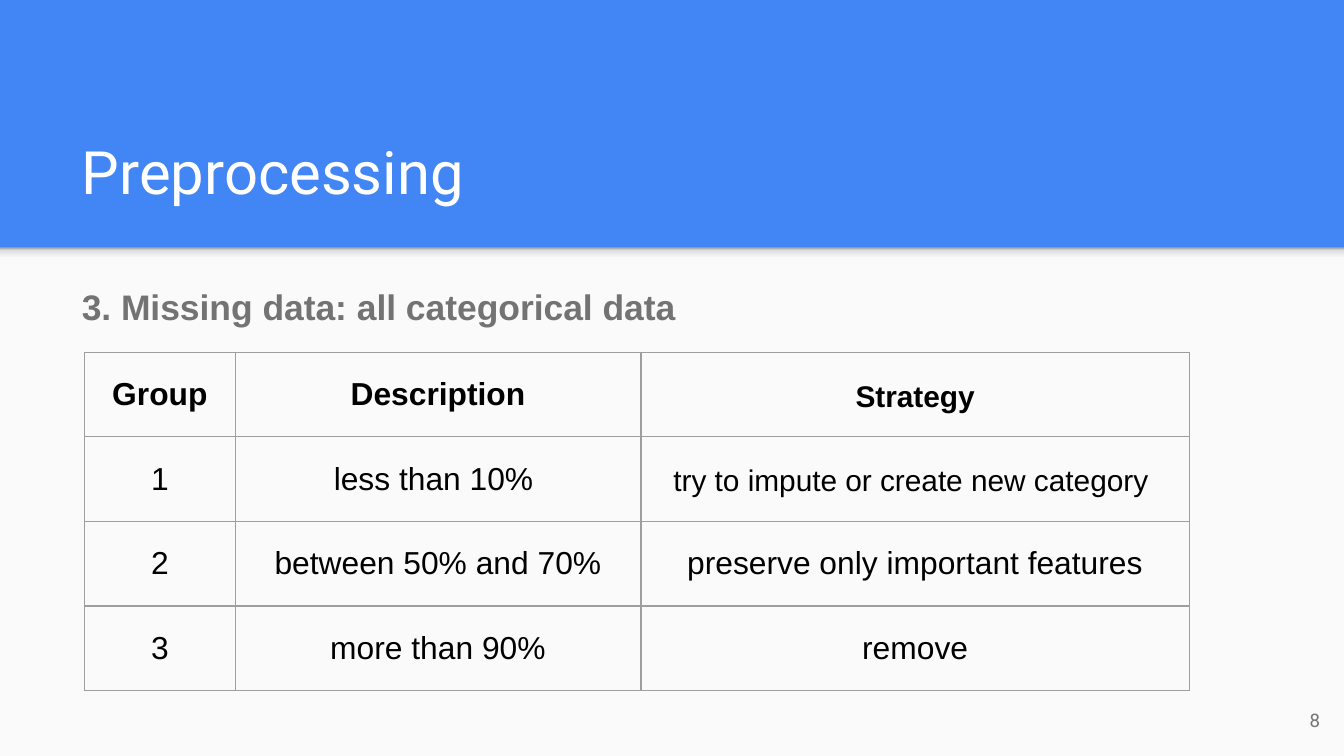
import copy

import pptx
import pptx.dml.color
import pptx.enum.shapes
import pptx.enum.text
import pptx.oxml
import pptx.oxml.ns
import pptx.util
from pptx.util import Inches

ALIGN = pptx.enum.text.PP_ALIGN
ANCHOR = pptx.enum.text.MSO_ANCHOR
WIDTH = 10
HEIGHT = WIDTH * 9 / 16
BLUE, PAPER, GRAY, BLACK = "4285F4", "FAFAFA", "737373", "000000"
SHADE_STOPS = [(0, "F9F9F9"), (36, "F9F9F9"), (80, "DEDEDE"), (100, "999999")]
COLUMN_WIDTHS = [1.12, 3.02, 4.08]
ROW_HEIGHT = 0.63
ROWS = [
    ["Group", "Description", "Strategy"],
    ["1", "less than 10% ", "try to impute or create new category "],
    ["2", "between 50% and 70%", "preserve only important features"],
    ["3", "more than 90%", "remove"],
]


def color(value):
    """Turn a hex string into a colour."""
    return pptx.dml.color.RGBColor.from_string(value)


def write(frame, text, *, size, fill, font="Arial", bold=False,
          align=ALIGN.LEFT, spacing=None):
    """Write one formatted paragraph into a text frame."""
    frame.word_wrap = True
    paragraph = frame.paragraphs[0]
    paragraph.alignment = align
    if spacing:
        paragraph.line_spacing = spacing
    run = paragraph.add_run()
    run.text = text
    run.font.name = font
    run.font.size = pptx.util.Pt(size)
    run.font.bold = bold
    run.font.color.rgb = color(fill)


def add_text(slide, box, text, anchor=ANCHOR.TOP, **style):
    """Add a text box with even insets."""
    frame = slide.shapes.add_textbox(*map(Inches, box)).text_frame
    frame.margin_left = frame.margin_right = Inches(0.1)
    frame.margin_top = frame.margin_bottom = Inches(0.1)
    frame.vertical_anchor = anchor
    write(frame, text, **style)


def add_panel(slide, box, fill):
    """Add a plain rectangle without outline."""
    shape = slide.shapes.add_shape(
        pptx.enum.shapes.MSO_SHAPE.RECTANGLE, *map(Inches, box))
    shape.shadow.inherit = False
    shape.line.fill.background()
    shape.fill.solid()
    shape.fill.fore_color.rgb = color(fill)
    return shape


def shade(shape, stops):
    """Fill a shape with a vertical gradient running upwards."""
    shape.fill.gradient()
    shape.fill.gradient_angle = 90
    stop_list = shape._element.spPr.find(".//" + pptx.oxml.ns.qn("a:gsLst"))
    template = stop_list[0]
    for _ in range(len(stops) - len(stop_list)):
        stop_list.append(copy.deepcopy(template))
    for stop, (position, value) in zip(shape.fill.gradient_stops, stops):
        stop.position = position / 100
        stop.color.rgb = color(value)


def add_background(slide, box):
    """Place the blue backdrop, the paper panel and its top shade."""
    left, top, width, height = box
    slide.background.fill.solid()
    slide.background.fill.fore_color.rgb = color(BLUE)
    add_panel(slide, box, PAPER)
    shade(add_panel(slide, (left, top, width, 0.12), PAPER), SHADE_STOPS)


def add_borders(cell):
    """Draw thin gray lines on all sides of a cell."""
    properties = cell._tc.get_or_add_tcPr()
    for index, side in enumerate(("lnL", "lnR", "lnT", "lnB")):
        properties.insert(index, pptx.oxml.parse_xml(
            f'<a:{side} {pptx.oxml.ns.nsdecls("a")} w="9525"><a:solidFill>'
            f'<a:srgbClr val="9E9E9E"/></a:solidFill></a:{side}>'))


def add_strategy_table(slide, left, top):
    """Place the table of missing data groups."""
    table = slide.shapes.add_table(
        len(ROWS), len(COLUMN_WIDTHS), Inches(left), Inches(top),
        Inches(sum(COLUMN_WIDTHS)), Inches(ROW_HEIGHT * len(ROWS))).table
    table.first_row = table.horz_banding = False
    for column, width in zip(table.columns, COLUMN_WIDTHS):
        column.width = Inches(width)
    for row_index, texts in enumerate(ROWS):
        table.rows[row_index].height = Inches(ROW_HEIGHT)
        for column_index, text in enumerate(texts):
            cell = table.cell(row_index, column_index)
            cell.fill.background()
            add_borders(cell)
            cell.vertical_anchor = ANCHOR.MIDDLE
            cell.margin_left = cell.margin_right = Inches(0.1)
            cell.margin_top = cell.margin_bottom = Inches(0.1)
            compact = column_index == 2 and row_index < 2
            write(cell.text_frame, text, size=16 if compact else 17,
                  fill=BLACK, bold=row_index == 0, align=ALIGN.CENTER,
                  spacing=1.15 if compact else None)


def main():
    """Build and save the presentation."""
    presentation = pptx.Presentation()
    presentation.slide_width = Inches(WIDTH)
    presentation.slide_height = Inches(HEIGHT)
    slide = presentation.slides.add_slide(presentation.slide_layouts[6])
    add_background(slide, (0, 1.84, WIDTH, HEIGHT - 1.84))
    add_text(slide, (0.51, 0.8, 8.99, 0.84), "Preprocessing", ANCHOR.BOTTOM,
             size=32, fill="FFFFFF", font="Roboto")
    add_text(slide, (0.51, 1.86, 8.99, 3.56),
             "3. Missing data: all categorical data",
             size=19, fill=GRAY, bold=True, spacing=1.5)
    add_text(slide, (9.32, 5.14, 0.6, 0.43), "8", ANCHOR.MIDDLE,
             size=10, fill=GRAY, font="Roboto", align=ALIGN.RIGHT)
    add_strategy_table(slide, 0.63, 2.62)
    presentation.save("out.pptx")


if __name__ == "__main__":
    main()
